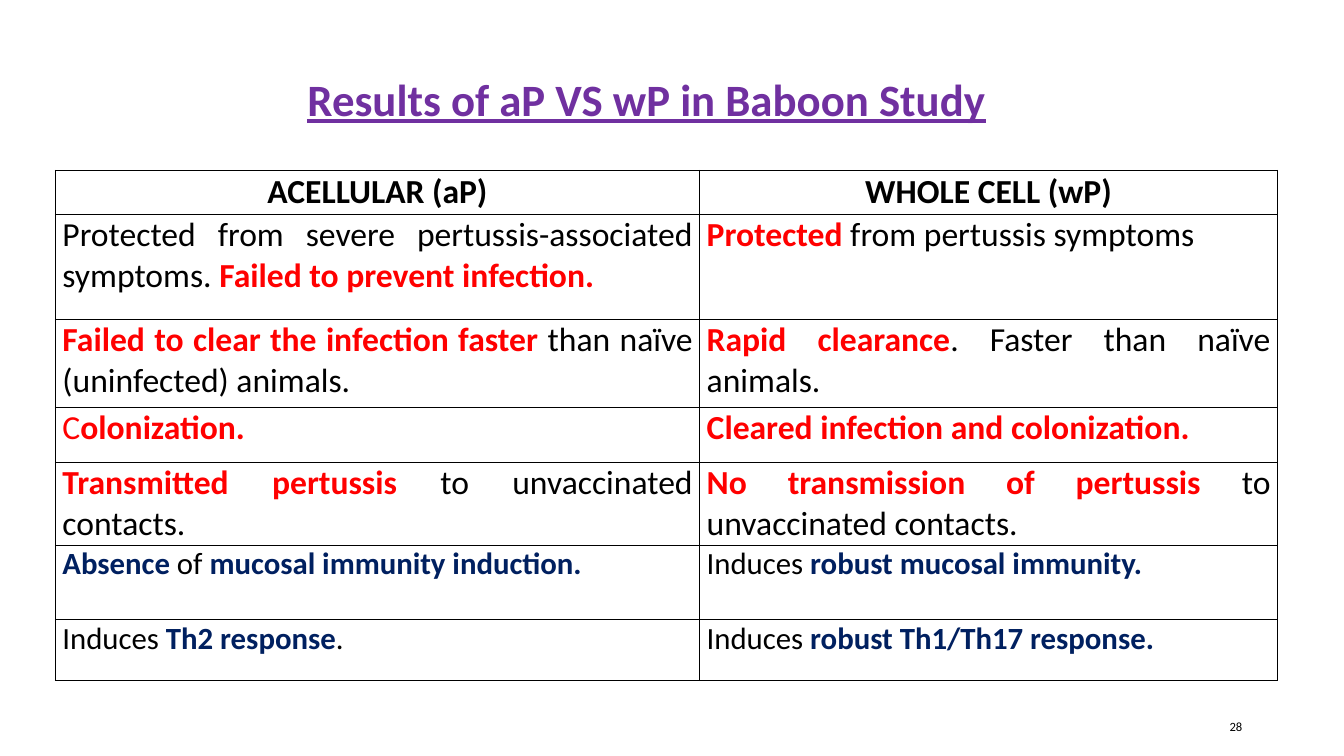
from dataclasses import dataclass

from lxml.etree import SubElement
from pptx import Presentation
from pptx.dml.color import RGBColor
from pptx.enum.text import MSO_ANCHOR as Anchor, MSO_AUTO_SIZE as AutoSize, PP_ALIGN as Align
from pptx.oxml.ns import qn
from pptx.util import Inches, Pt

BLACK, RED, NAVY, PURPLE = "000000", "FF0000", "002060", "7030A0"
COLUMN_WIDTHS = (6.39, 5.73)


@dataclass(frozen=True)
class Span:
    text: str
    color: str = BLACK
    bold: bool = False


@dataclass(frozen=True)
class Row:
    height: float
    acellular: list[Span]
    whole_cell: list[Span]
    size: int = 24
    align: Align = Align.JUSTIFY
    anchor: Anchor = Anchor.TOP


def red(text: str) -> Span:
    return Span(text, RED, True)


def navy(text: str) -> Span:
    return Span(text, NAVY, True)


ROWS = [
    Row(0.44, [Span("ACELLULAR (aP)", bold=True)], [Span("WHOLE CELL (wP)", bold=True)],
        align=Align.CENTER, anchor=Anchor.MIDDLE),
    Row(1.04,
        [Span("Protected from severe pertussis-associated symptoms. "),
         red("Failed to prevent infection.")],
        [red("Protected"), Span(" from pertussis symptoms")]),
    Row(0.87,
        [red("Failed to clear the infection faster "), Span("than naïve (uninfected) animals.")],
        [red("Rapid clearance"), Span(". Faster than naïve animals.")]),
    Row(0.55, [Span("C", RED), red("olonization. ")],
        [red("Cleared infection and colonization.")]),
    Row(0.82, [red("Transmitted pertussis "), Span("to unvaccinated contacts.")],
        [red("No transmission of pertussis "), Span("to unvaccinated contacts.")]),
    Row(0.74, [navy("Absence"), Span(" of "), navy("mucosal immunity induction.")],
        [Span("Induces "), navy("robust mucosal immunity.")], size=22),
    Row(0.6, [Span("Induces "), navy("Th2 response"), Span(".")],
        [Span("Induces "), navy("robust Th1/Th17 response.")], size=22),
]


def set_all(target: object, values: dict) -> None:
    for name, value in values.items():
        setattr(target, name, value)


def place(box, left: float, top: float, width: float, height: float) -> None:
    set_all(box, {"left": Inches(left), "top": Inches(top),
                  "width": Inches(width), "height": Inches(height)})


def paint(font, color: str) -> None:
    font.color.rgb = RGBColor.from_string(color)


def write(para, spans: list[Span], size: int, align: Align, underline: bool = False) -> None:
    para.alignment = align
    for span in spans:
        run = para.add_run()
        run.text = span.text
        set_all(run.font, {"name": "Calibri", "size": Pt(size), "bold": span.bold,
                           "underline": underline})
        paint(run.font, span.color)


def add_borders(cell) -> None:
    properties = cell._tc.get_or_add_tcPr()
    for side in ("a:lnL", "a:lnR", "a:lnT", "a:lnB"):
        line = SubElement(properties, qn(side), w=str(Pt(1)))
        fill = SubElement(line, qn("a:solidFill"))
        SubElement(fill, qn("a:srgbClr"), val=BLACK)


def fill_cell(cell, spans: list[Span], row: Row) -> None:
    set_all(cell, {"margin_left": Inches(0.07), "margin_right": Inches(0.07),
                   "margin_top": 0, "margin_bottom": 0, "vertical_anchor": row.anchor})
    add_borders(cell)
    cell.fill.background()
    write(cell.text_frame.paragraphs[0], spans, row.size, row.align)


def add_results(page) -> None:
    height = sum(row.height for row in ROWS)
    frame = page.shapes.add_table(len(ROWS), len(COLUMN_WIDTHS), Inches(0.55), Inches(1.69),
                                  Inches(sum(COLUMN_WIDTHS)), Inches(height))
    table = frame.table
    set_all(table, {"first_row": False, "horz_banding": False})
    for column, width in zip(table.columns, COLUMN_WIDTHS):
        column.width = Inches(width)
    for index, row in enumerate(ROWS):
        table.rows[index].height = Inches(row.height)
        for cell, spans in zip(table.rows[index].cells, (row.acellular, row.whole_cell)):
            fill_cell(cell, spans, row)


def add_title(page) -> None:
    title = page.shapes.title
    place(title, 2.92, 0.58, 6.99, 0.68)
    set_all(title.text_frame, {"word_wrap": True, "auto_size": AutoSize.NONE,
                               "vertical_anchor": Anchor.TOP})
    para = title.text_frame.paragraphs[0]
    para.line_spacing = 1.15
    write(para, [Span("Results of aP VS wP in Baboon Study", PURPLE, True)], 32,
          Align.CENTER, underline=True)


def add_page_number(page) -> None:
    box = page.shapes.add_textbox(Inches(9.42), Inches(7.01), Inches(3), Inches(0.4))
    set_all(box.text_frame, {"word_wrap": True, "vertical_anchor": Anchor.MIDDLE})
    write(box.text_frame.paragraphs[0], [Span("28")], 9, Align.RIGHT)


def main() -> None:
    deck = Presentation()
    set_all(deck, {"slide_width": Inches(13.33), "slide_height": Inches(7.5)})
    page = deck.slides.add_slide(deck.slide_layouts.get_by_name("Title Only"))
    add_page_number(page)
    add_results(page)
    add_title(page)
    deck.save("out.pptx")


if __name__ == "__main__":
    main()
